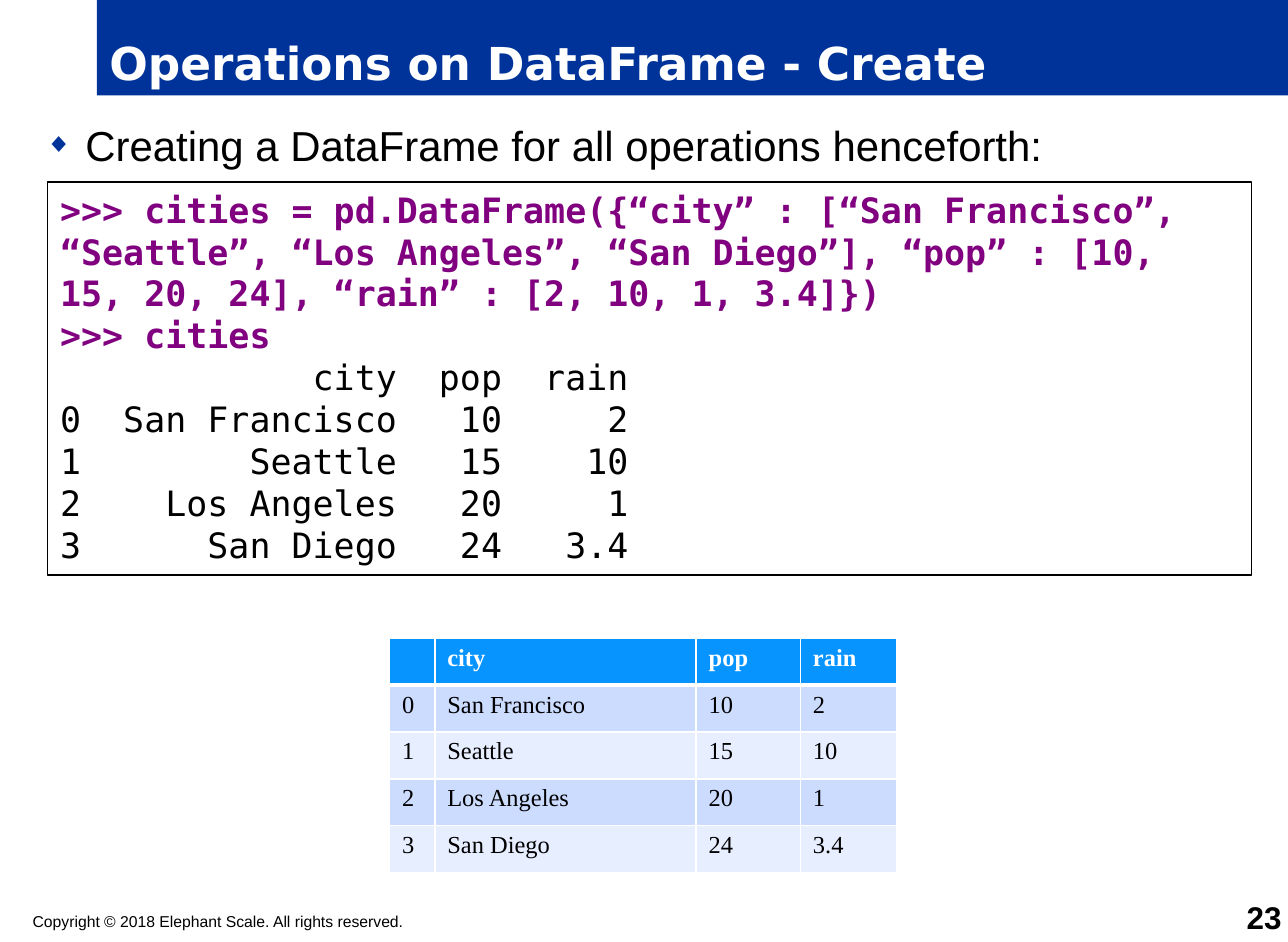
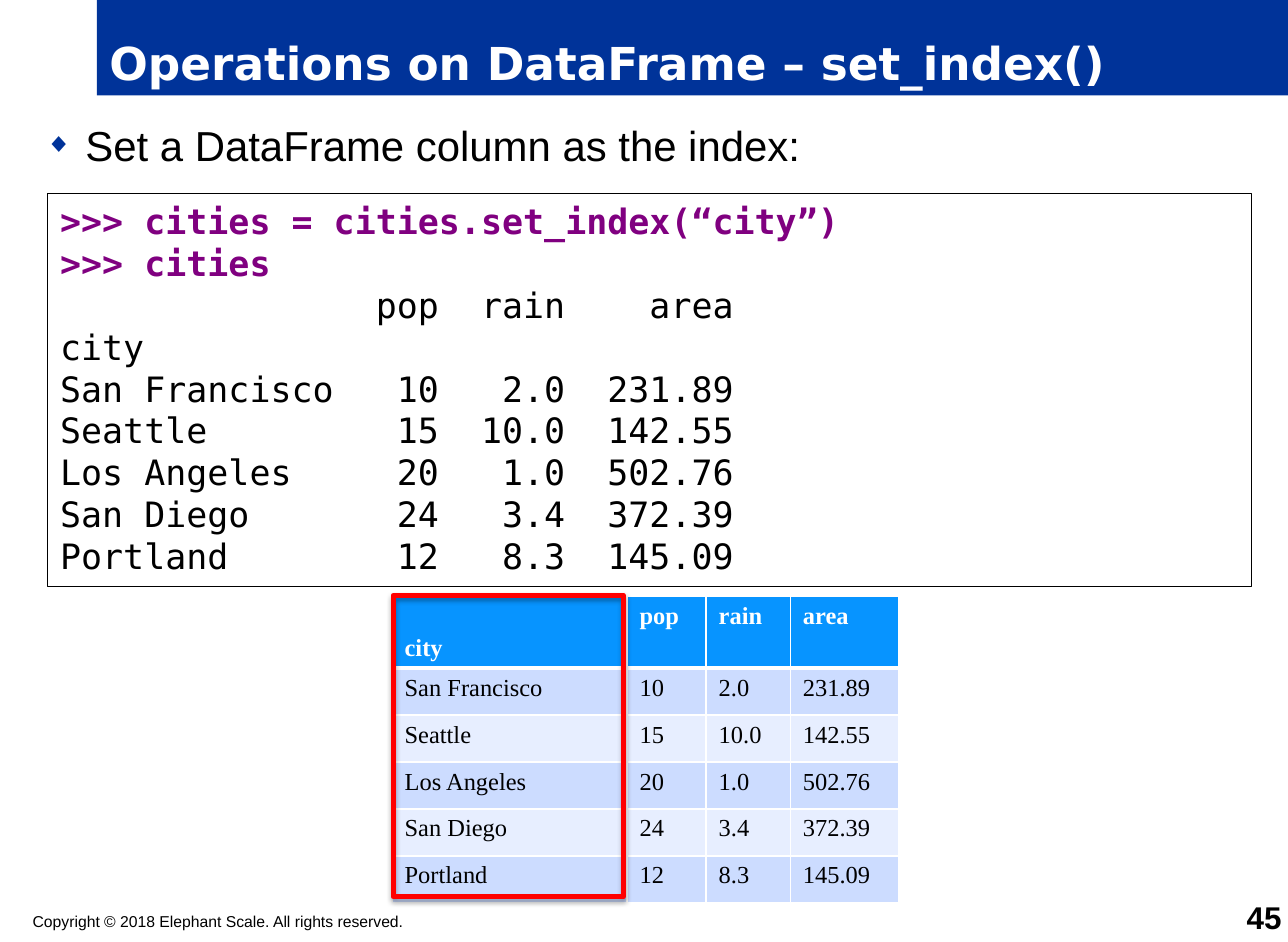
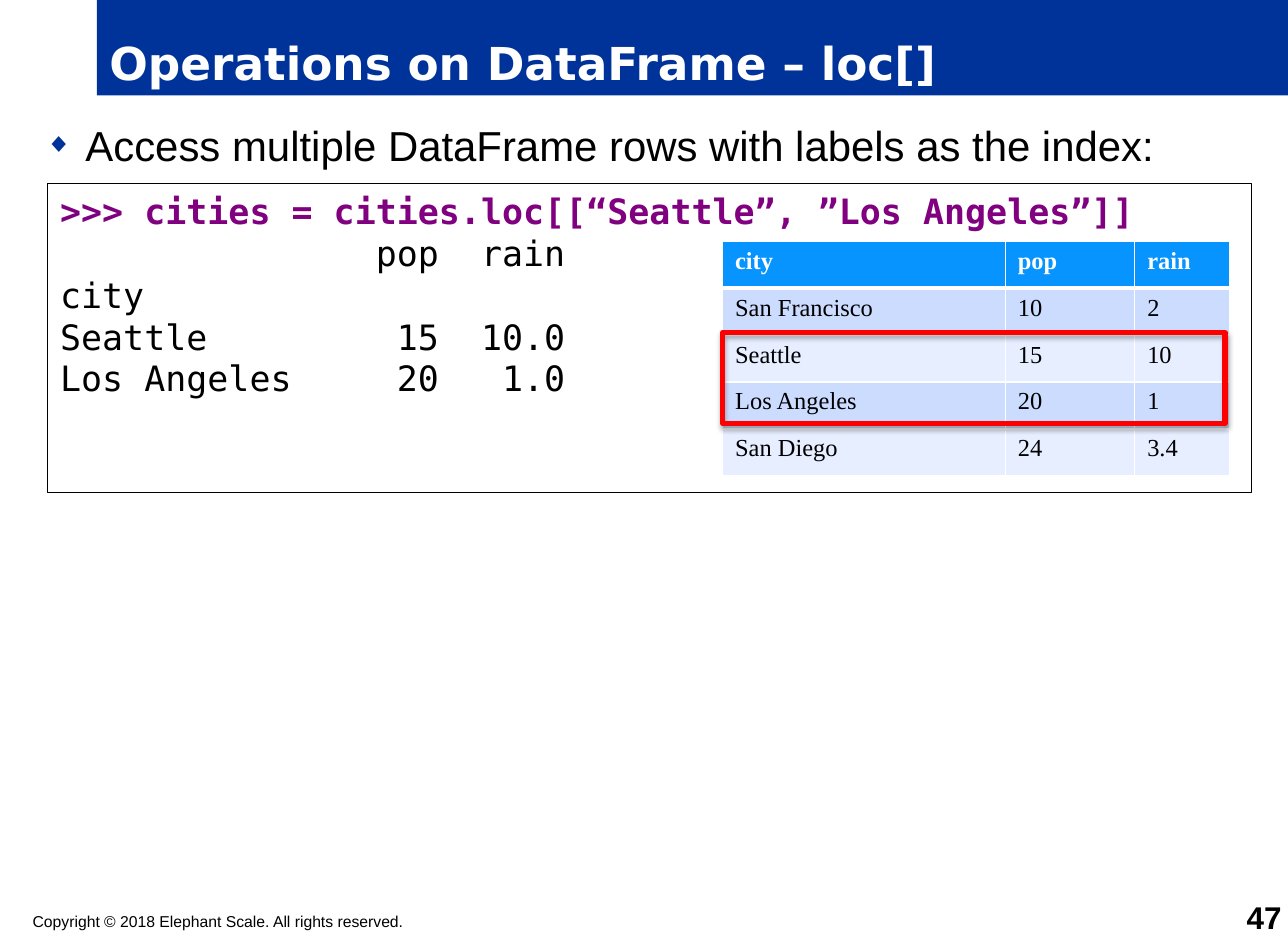
from dataclasses import dataclass

from lxml import etree
from pptx import Presentation
from pptx.dml.color import RGBColor
from pptx.enum import shapes, text
from pptx.oxml import ns, parse_xml
from pptx.util import Inches, Pt


@dataclass(frozen=True)
class Theme:
    """Colours, fonts and type sizes shared by all slides."""
    band: str = "003399"
    white: str = "FFFFFF"
    black: str = "000000"
    prompt: str = "800080"
    header: str = "0794FF"
    stripes: tuple = ("CCDCFF", "E7EEFF")
    mark: str = "FF0000"
    title_font: str = "DejaVu Sans"
    body_font: str = "Arial"
    code_font: str = "DejaVu Sans Mono"
    table_font: str = "Times New Roman"
    title_size: int = 26
    body_size: int = 24
    code_size: int = 20
    number_size: int = 18
    table_size: int = 14
    footer_size: int = 9


T = Theme()
TITLE_BOX = (0.77, 0, 9.48, 0.76)
BODY_BOX = (0.26, 0.9, 9.74, 6.17)
FOOTER_BOX = (0.26, 7.26, 5.95, 0.15)
NUMBER_BOX = (9.6, 7.2, 0.6, 0.25)
COPYRIGHT = "Copyright © 2018 Elephant Scale. All rights reserved."


def rgb(color):
    """Return a colour object for a hex string."""
    return RGBColor.from_string(color)


def inches(box):
    """Turn a box in inches into lengths."""
    return [Inches(v) for v in box]


def place(sp, box):
    """Move and size a shape to a box."""
    sp.left, sp.top, sp.width, sp.height = inches(box)


def write(p, words, *, size, font=T.body_font, color=T.black, bold=False,
          align=text.PP_ALIGN.LEFT):
    """Add one formatted run to a paragraph."""
    p.alignment = align
    r = p.add_run()
    r.text = words
    r.font.size, r.font.name, r.font.bold = Pt(size), font, bold
    r.font.color.rgb = rgb(color)


def frame(sp, *, anchor=text.MSO_ANCHOR.TOP, margins=(0.1, 0.05)):
    """Set wrapping, anchor and margins of a shape's text."""
    tf = sp.text_frame
    tf.word_wrap = True
    tf.auto_size = text.MSO_AUTO_SIZE.NONE
    tf.vertical_anchor = anchor
    tf.margin_left = tf.margin_right = Inches(margins[0])
    tf.margin_top = tf.margin_bottom = Inches(margins[1])
    return tf


def add_title(s, box, words):
    """Fill the title placeholder as a blue band."""
    sp = s.shapes.title
    place(sp, box)
    sp.fill.solid()
    sp.fill.fore_color.rgb = rgb(T.band)
    tf = frame(sp, anchor=text.MSO_ANCHOR.BOTTOM)
    write(tf.paragraphs[0], words, size=T.title_size, font=T.title_font,
          color=T.white, bold=True)


def add_bullet(s, box, words):
    """Fill the body placeholder with one diamond bullet."""
    sp = s.placeholders[1]
    place(sp, box)
    p = frame(sp).paragraphs[0]
    pPr = p._p.get_or_add_pPr()
    pPr.set("marL", str(Inches(0.32)))
    pPr.set("indent", str(Inches(-0.32)))
    clr = etree.SubElement(pPr, ns.qn("a:buClr"))
    etree.SubElement(clr, ns.qn("a:srgbClr"), val=T.band)
    etree.SubElement(pPr, ns.qn("a:buSzPct"), val="65000")
    etree.SubElement(pPr, ns.qn("a:buFont"), typeface=T.body_font)
    etree.SubElement(pPr, ns.qn("a:buChar"), char="◆")
    p.space_before = Pt(0)
    write(p, words, size=T.body_size)


def add_label(s, box, words, **fmt):
    """Add a one-line text box without margins."""
    sp = s.shapes.add_textbox(*inches(box))
    tf = frame(sp, anchor=fmt.pop("anchor", text.MSO_ANCHOR.TOP), margins=(0, 0))
    write(tf.paragraphs[0], words, **fmt)


def add_code(s, box, code):
    """Add a framed console listing with highlighted prompts."""
    sp = s.shapes.add_shape(shapes.MSO_SHAPE.RECTANGLE, *inches(box))
    sp.shadow.inherit = False
    sp.fill.solid()
    sp.fill.fore_color.rgb = rgb(T.white)
    sp.line.color.rgb = rgb(T.black)
    sp.line.width = Pt(0.75)
    tf = frame(sp)
    for i, line in enumerate(code.strip("\n").split("\n")):
        p = tf.add_paragraph() if i else tf.paragraphs[0]
        prompt = line.startswith(">>>")
        write(p, line, size=T.code_size, font=T.code_font, bold=prompt,
              color=T.prompt if prompt else T.black)


def add_borders(cell, bottom):
    """Give a cell white borders with the given bottom width."""
    tcPr = cell._tc.get_or_add_tcPr()
    for side, width in zip("LRTB", (1, 1, 1, bottom)):
        ln = etree.SubElement(tcPr, ns.qn(f"a:ln{side}"), w=str(Pt(width)))
        fill = etree.SubElement(ln, ns.qn("a:solidFill"))
        etree.SubElement(fill, ns.qn("a:srgbClr"), val=T.white)


def add_grid(s, box, widths, rows, header_height=None):
    """Add a striped table whose body rows share the remaining height."""
    tbl = s.shapes.add_table(len(rows), len(widths), *inches(box)).table
    head = header_height or box[3] / len(rows)
    for col, width in zip(tbl.columns, widths):
        col.width = Inches(width)
    for i, values in enumerate(rows):
        tbl.rows[i].height = Inches(
            (box[3] - head) / (len(rows) - 1) if i else head)
        for j, value in enumerate(values):
            cell = tbl.cell(i, j)
            add_borders(cell, 1 if i else 3)
            cell.fill.solid()
            cell.fill.fore_color.rgb = rgb(
                T.stripes[(i - 1) % 2] if i else T.header)
            p = cell.text_frame.paragraphs[0]
            if value:
                write(p, value, size=T.table_size, font=T.table_font,
                      color=T.black if i else T.white, bold=not i)
            else:
                etree.SubElement(p._p, ns.qn("a:endParaRPr"),
                                 sz=str(T.table_size * 100))
    return tbl


def add_mark(s, box):
    """Outline an area in red with a soft shadow."""
    sp = s.shapes.add_shape(shapes.MSO_SHAPE.RECTANGLE, *inches(box))
    sp.fill.background()
    sp.line.color.rgb = rgb(T.mark)
    sp.line.width = Pt(3)
    sp.shadow.inherit = False
    effects = sp._element.spPr.find(ns.qn("a:effectLst"))
    effects.append(parse_xml(
        f'<a:outerShdw {ns.nsdecls("a")} blurRad="{Pt(3.1)}" dist="{Pt(1.8)}" '
        f'dir="5400000" rotWithShape="0"><a:srgbClr val="{T.black}">'
        '<a:alpha val="35000"/></a:srgbClr></a:outerShdw>'))


def add_slide(prs, title, bullet, number):
    """Start a slide with its title band, bullet and footer."""
    s = prs.slides.add_slide(prs.slide_layouts[1])
    add_title(s, TITLE_BOX, title)
    add_bullet(s, BODY_BOX, bullet)
    add_label(s, FOOTER_BOX, COPYRIGHT, size=T.footer_size)
    add_label(s, NUMBER_BOX, number, size=T.number_size, bold=True,
              align=text.PP_ALIGN.RIGHT, anchor=text.MSO_ANCHOR.BOTTOM)
    return s


CITIES = [
    ("city", "pop", "rain"),
    ("San Francisco", "10", "2"),
    ("Seattle", "15", "10"),
    ("Los Angeles", "20", "1"),
    ("San Diego", "24", "3.4"),
]
AREAS = [
    ("city", "pop", "rain", "area"),
    ("San Francisco", "10", "2.0", "231.89"),
    ("Seattle", "15", "10.0", "142.55"),
    ("Los Angeles", "20", "1.0", "502.76"),
    ("San Diego", "24", "3.4", "372.39"),
    ("Portland", "12", "8.3", "145.09"),
]

CREATE_CODE = """
>>> cities = pd.DataFrame({“city” : [“San Francisco”, “Seattle”, “Los Angeles”, “San Diego”], “pop” : [10, 15, 20, 24], “rain” : [2, 10, 1, 3.4]})
>>> cities
            city  pop  rain
0  San Francisco   10     2
1        Seattle   15    10
2    Los Angeles   20     1
3      San Diego   24   3.4
"""
INDEX_CODE = """
>>> cities = cities.set_index(“city”)
>>> cities
               pop  rain    area
city
San Francisco   10   2.0  231.89
Seattle         15  10.0  142.55
Los Angeles     20   1.0  502.76
San Diego       24   3.4  372.39
Portland        12   8.3  145.09
"""
LOC_CODE = """
>>> cities = cities.loc[[“Seattle”, ”Los Angeles”]]
               pop  rain
city
Seattle         15  10.0
Los Angeles     20   1.0
"""


def create_slide(prs):
    """Build the slide that creates the data frame."""
    s = add_slide(prs, "Operations on DataFrame - Create",
                  "Creating a DataFrame for all operations henceforth:", "23")
    add_code(s, (0.38, 1.45, 9.58, 3.13), CREATE_CODE)
    labels = ["", *map(str, range(len(CITIES) - 1))]
    rows = [(label, *row) for label, row in zip(labels, CITIES)]
    add_grid(s, (3.1, 5.08, 4.04, 1.87), (0.36, 2.08, 0.83, 0.77), rows)


def index_slide(prs):
    """Build the slide that sets the index column."""
    s = add_slide(prs, "Operations on DataFrame – set_index()",
                  "Set a DataFrame column as the index:", "45")
    add_code(s, (0.38, 1.54, 9.58, 3.13), INDEX_CODE)
    tbl = add_grid(s, (3.12, 4.75, 4.03, 2.44), (1.87, 0.63, 0.67, 0.86),
                   AREAS, header_height=0.57)
    tbl.cell(0, 0).vertical_anchor = text.MSO_ANCHOR.BOTTOM
    add_mark(s, (3.13, 4.74, 1.83, 2.4))


def loc_slide(prs):
    """Build the slide that selects rows by label."""
    s = add_slide(prs, "Operations on DataFrame – loc[]",
                  "Access multiple DataFrame rows with labels as the index:", "47")
    add_code(s, (0.38, 1.46, 9.58, 2.46), LOC_CODE)
    add_grid(s, (5.75, 1.92, 4.04, 1.87), (2.25, 1.03, 0.76), CITIES)
    add_mark(s, (5.75, 2.65, 4, 0.72))


def main():
    """Build and save the presentation."""
    prs = Presentation()
    prs.slide_width, prs.slide_height = Inches(10.25), Inches(7.5)
    for build in (create_slide, index_slide, loc_slide):
        build(prs)
    prs.save("out.pptx")


if __name__ == "__main__":
    main()
